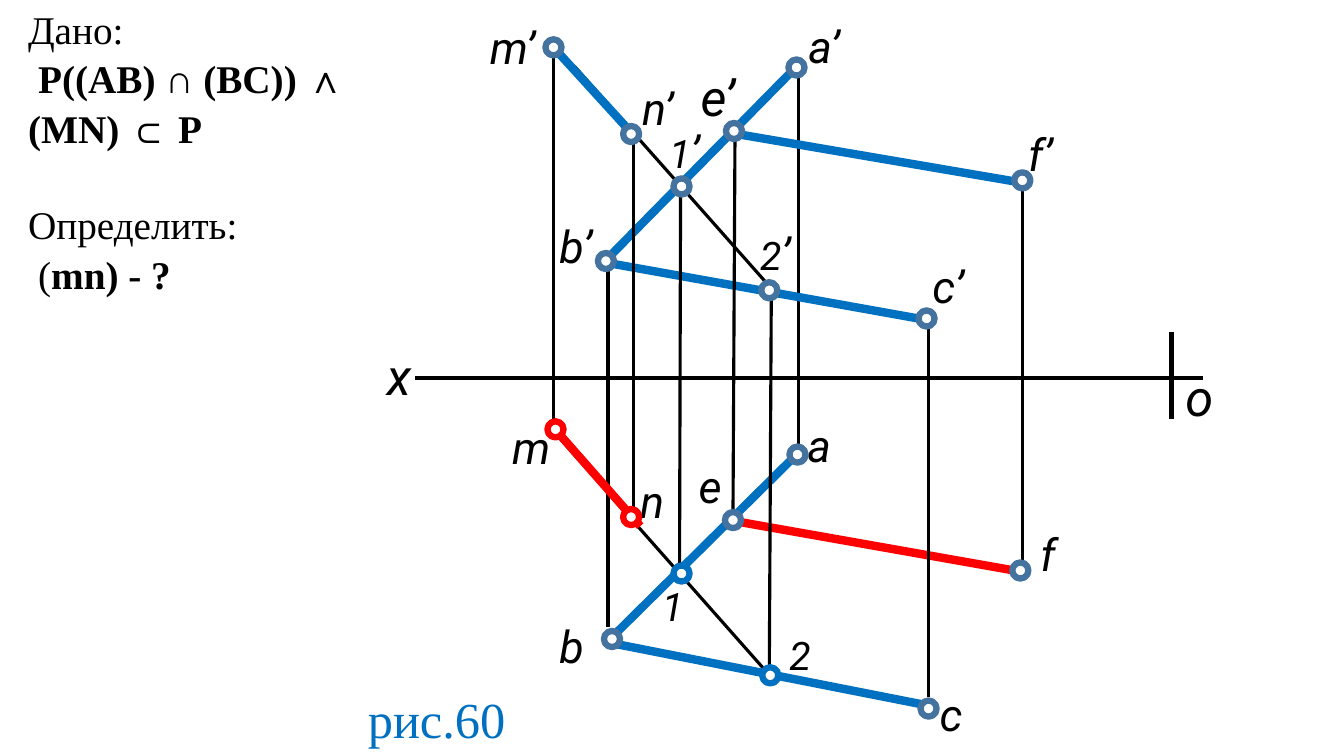
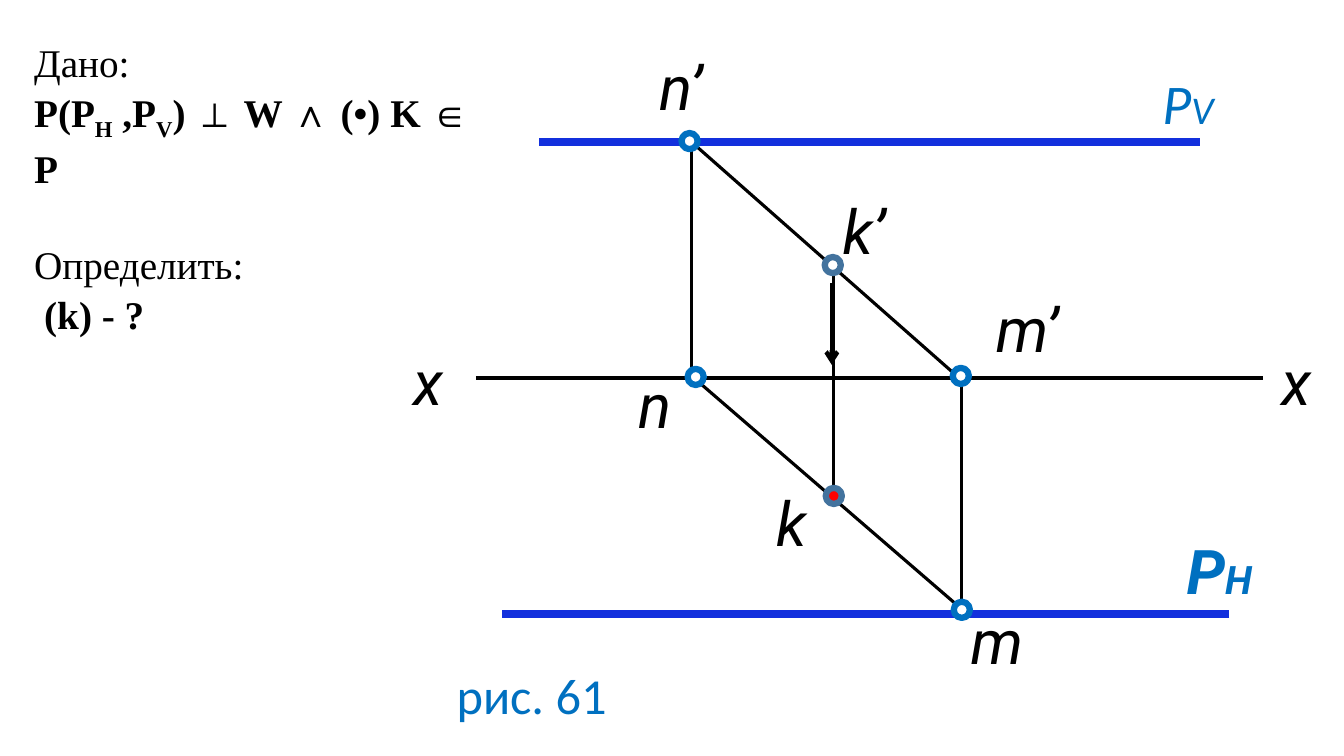
"""Build two slides of descriptive geometry problems with projection drawings."""
from lxml import etree
from pptx import Presentation
from pptx.dml.color import RGBColor
from pptx.enum.shapes import MSO_CONNECTOR, MSO_SHAPE
from pptx.oxml.ns import qn
from pptx.util import Inches, Pt

STRAIGHT = MSO_CONNECTOR.STRAIGHT
OVAL = MSO_SHAPE.OVAL
BLANK_LAYOUT = 6

COLORS = {
    "black": "000000", "white": "FFFFFF", "blue": "0070C0",
    "red": "FF0000", "steel": "43739E", "trace": "1330DD",
}
LINE_STYLES = {
    "thin": ("black", 2.25), "axis": ("black", 3), "arrow": ("black", 3),
    "given": ("blue", 6), "answer": ("red", 6), "trace": ("trace", 6),
}
LABEL = {"name": "Roboto", "italic": True}
TASK = {"name": "Times New Roman", "size": Pt(28), "bold": False}
TASK_SPACING = 1.05
TASK_GAP = Pt(33.6)
SPACE_WIDTH = Inches(0.1)
DOT = 0.16
DOT_LINE = Pt(4.5)

PLANE_BY_LINES = {
    "lines": [
        ("thin", 7.92, 4.53, 7.92, 0.63),
        ("given", 7.93, 4.48, 6, 6.39),
        ("answer", 10.06, 5.66, 7.23, 5.16),
        ("given", 7.95, 0.61, 6.06, 2.53),
        ("given", 9.11, 3.16, 6.09, 2.62),
        ("thin", 9.21, 6.91, 9.21, 3.2),
        ("thin", 7.58, 6.64, 5.52, 4.31),
        ("thin", 7.63, 6.68, 7.65, 2.88),
        ("thin", 6.74, 5.67, 6.75, 1.87),
        ("axis", 4.12, 3.75, 11.93, 3.75),
        ("thin", 7.72, 2.94, 5.7, 0.66),
        ("thin", 10.14, 5.56, 10.14, 1.81),
        ("thin", 6.03, 6.22, 6.03, 2.56),
        ("axis", 11.62, 3.29, 11.62, 4.16),
        ("given", 10.18, 1.82, 7.25, 1.32),
        ("thin", 7.27, 5.14, 7.29, 1.34),
        ("given", 9.21, 7, 6.01, 6.37),
        ("given", 6.32, 1.38, 5.49, 0.47),
        ("thin", 6.28, 5.19, 6.28, 1.3),
        ("thin", 5.49, 4.27, 5.49, 0.49),
        ("answer", 6.35, 5.22, 5.48, 4.23),
    ],
    "labels": [
        ([("x", 36)], 3.74, 3.37, 0.43),
        ([("o", 36)], 11.66, 3.58, 0.43),
        ([("m’", 32)], 4.76, 0.15, 0.76),
        ([("n’", 32)], 6.27, 0.75, 0.89),
        ([("a’", 32)], 7.92, 0.14, 0.86),
        ([("b’", 32)], 5.45, 2.12, 0.83),
        ([("c’", 32)], 9.15, 2.52, 1.03),
        ([("e’", 36)], 6.85, 0.61, 0.89),
        ([("f’", 32)], 10.1, 1.21, 0.94),
        ([("1", 28), ("’", 32)], 6.54, 1.18, 0.6),
        ([("2", 28), ("’", 32)], 7.44, 2.19, 0.93),
        ([("m", 32)], 4.98, 4.11, 0.75),
        ([("n", 32)], 6.25, 4.65, 0.75),
        ([("a", 32)], 7.91, 4.09, 0.52),
        ([("b", 32)], 5.45, 6.09, 0.6),
        ([("c", 32)], 9.22, 6.76, 0.6),
        ([("e", 32)], 6.83, 4.5, 0.6),
        ([("f", 32)], 10.22, 5.18, 0.6),
        ([("1", 28)], 6.47, 5.73, 0.6),
        ([("2", 28)], 7.73, 6.21, 0.6),
    ],
    "styled_labels": [
        ([("рис.60", 36)], 3.55, 6.78, 1.8, {"name": "Times New Roman"}),
    ],
    "dots": {
        ("steel", "white"): [
            (7.82, 0.59), (10.06, 1.71), (5.41, 0.39), (7.2, 1.22),
            (6.18, 1.25), (9.11, 3.08), (5.93, 2.51), (9.13, 6.95),
            (5.99, 6.26), (7.19, 5.08), (10.04, 5.58), (7.83, 4.43),
            (6.68, 1.77), (7.55, 2.8),
        ],
        ("blue", "white"): [(6.68, 5.61), (7.56, 6.62)],
        ("red", "white"): [(5.43, 4.18), (6.18, 5.05)],
    },
    "task_box": (0.18, -0.02, 3.45, 2.93),
    "task": [
        ("", [("Дано:", "")]),
        ("indent", [("P((AB) ∩ (BC)) ∧ (MN) ⊂ P", "bold")]),
        ("gap", [("Определить:", "")]),
        ("indent", [("(", ""), ("mn) - ?", "bold")]),
    ],
}

PLANE_BY_TRACES = {
    "lines": [
        ("thin", 6.86, 1.41, 9.57, 3.8),
        ("axis", 4.72, 3.75, 12.53, 3.75),
        ("trace", 11.9, 1.41, 5.35, 1.41),
        ("trace", 12.19, 6.09, 4.98, 6.09),
        ("thin", 9.54, 6.11, 9.54, 3.75),
        ("thin", 8.27, 4.93, 8.27, 2.65),
        ("thin", 6.86, 3.74, 6.86, 1.45),
        ("thin", 9.57, 6.07, 6.86, 3.73),
        ("arrow", 8.25, 2.81, 8.25, 3.62),
    ],
    "labels": [
        ([("x", 44)], 4, 3.36, 0.43),
        ([("x", 44)], 12.61, 3.36, 0.43),
        ([("n’", 44)], 6.44, 0.44, 0.73),
        ([("k’", 44)], 8.26, 1.86, 0.65),
        ([("m’", 44)], 9.78, 2.84, 0.97),
        ([("n", 44)], 6.23, 3.59, 0.6),
        ([("k", 44)], 7.6, 4.76, 0.52),
        ([("m", 44)], 9.53, 5.93, 0.73),
    ],
    "styled_labels": [
        ([("P", 44), ("H", 28)], 11.67, 5.24, 0.93, {**LABEL, "bold": True}),
        ([("P", 40), ("V", 28)], 11.43, 0.63, 0.89,
         {"name": "Calibri", "italic": True}),
        ([("рис. 61", 36)], 4.43, 6.54, 1.9, {"name": "Calibri"}),
    ],
    "dots": {
        ("blue", "white"): [(6.82, 3.66), (6.76, 1.32), (9.46, 5.97), (9.45, 3.65)],
        ("steel", "white"): [(8.18, 2.55)],
        ("steel", "red"): [(8.19, 4.84)],
    },
    "task_box": (0.24, 0.31, 4.79, 2.93),
    "task": [
        ("", [("Дано:", "")]),
        ("", [("P(P", "bold"), ("H", "sub"), (" ,P", "bold"), ("V", "sub"),
              (") ⊥ W ∧ (•) K ∈ P", "bold")]),
        ("gap", [("Определить:", "")]),
        ("indent", [("(k) - ?", "bold")]),
    ],
}


def color(name):
    return RGBColor.from_string(COLORS[name])


def add_line(slide, style, *ends):
    line_color, width = LINE_STYLES[style]
    connector = slide.shapes.add_connector(STRAIGHT, *map(Inches, ends))
    connector.line.width = Pt(width)
    connector.line.color.rgb = color(line_color)
    properties = connector._element.spPr
    if style == "arrow":
        etree.SubElement(properties.find(qn("a:ln")), qn("a:tailEnd"), type="arrow")
    etree.SubElement(properties, qn("a:effectLst"))


def add_text_frame(slide, *box):
    frame = slide.shapes.add_textbox(*map(Inches, box)).text_frame
    frame.word_wrap = True
    return frame


def add_run(paragraph, text, font_color, formats):
    run = paragraph.add_run()
    run.text = text
    run.font.color.rgb = color(font_color)
    for attribute, value in formats.items():
        setattr(run.font, attribute, value)
    return run


def add_label(slide, runs, left, top, width, formats=LABEL, font_color="black"):
    height = 0.1 + 1.2 * max(size for _, size in runs) / 72
    paragraph = add_text_frame(slide, left, top, width, height).paragraphs[0]
    for text, size in runs:
        add_run(paragraph, text, font_color, {**formats, "size": Pt(size)})


def add_dot(slide, left, top, ring, center):
    dot = slide.shapes.add_shape(OVAL, *map(Inches, (left, top, DOT, DOT)))
    dot.shadow.inherit = False
    dot.fill.solid()
    dot.fill.fore_color.rgb = color(center)
    dot.line.color.rgb = color(ring)
    dot.line.width = DOT_LINE


def add_task(slide, box, paragraphs):
    frame = add_text_frame(slide, *box)
    for index, (layout, runs) in enumerate(paragraphs):
        paragraph = frame.add_paragraph() if index else frame.paragraphs[0]
        paragraph.line_spacing = TASK_SPACING
        if layout == "gap":
            paragraph.space_before = TASK_GAP
        elif layout == "indent":
            paragraph._p.get_or_add_pPr().set("indent", str(SPACE_WIDTH))
        for text, style in runs:
            run = add_run(paragraph, text, "black", {**TASK, "bold": style != ""})
            if style == "sub":
                run._r.get_or_add_rPr().set("baseline", "-25000")


def build_slide(presentation, content):
    slide = presentation.slides.add_slide(presentation.slide_layouts[BLANK_LAYOUT])
    for line in content["lines"]:
        add_line(slide, *line)
    for label in content["labels"]:
        add_label(slide, *label)
    for label in content["styled_labels"]:
        add_label(slide, *label, font_color="blue")
    add_task(slide, content["task_box"], content["task"])
    for (ring, center), places in content["dots"].items():
        for left, top in places:
            add_dot(slide, left, top, ring, center)


def main():
    presentation = Presentation()
    presentation.slide_width = Inches(13.33)
    presentation.slide_height = Inches(7.5)
    for content in (PLANE_BY_LINES, PLANE_BY_TRACES):
        build_slide(presentation, content)
    presentation.save("out.pptx")


if __name__ == "__main__":
    main()
